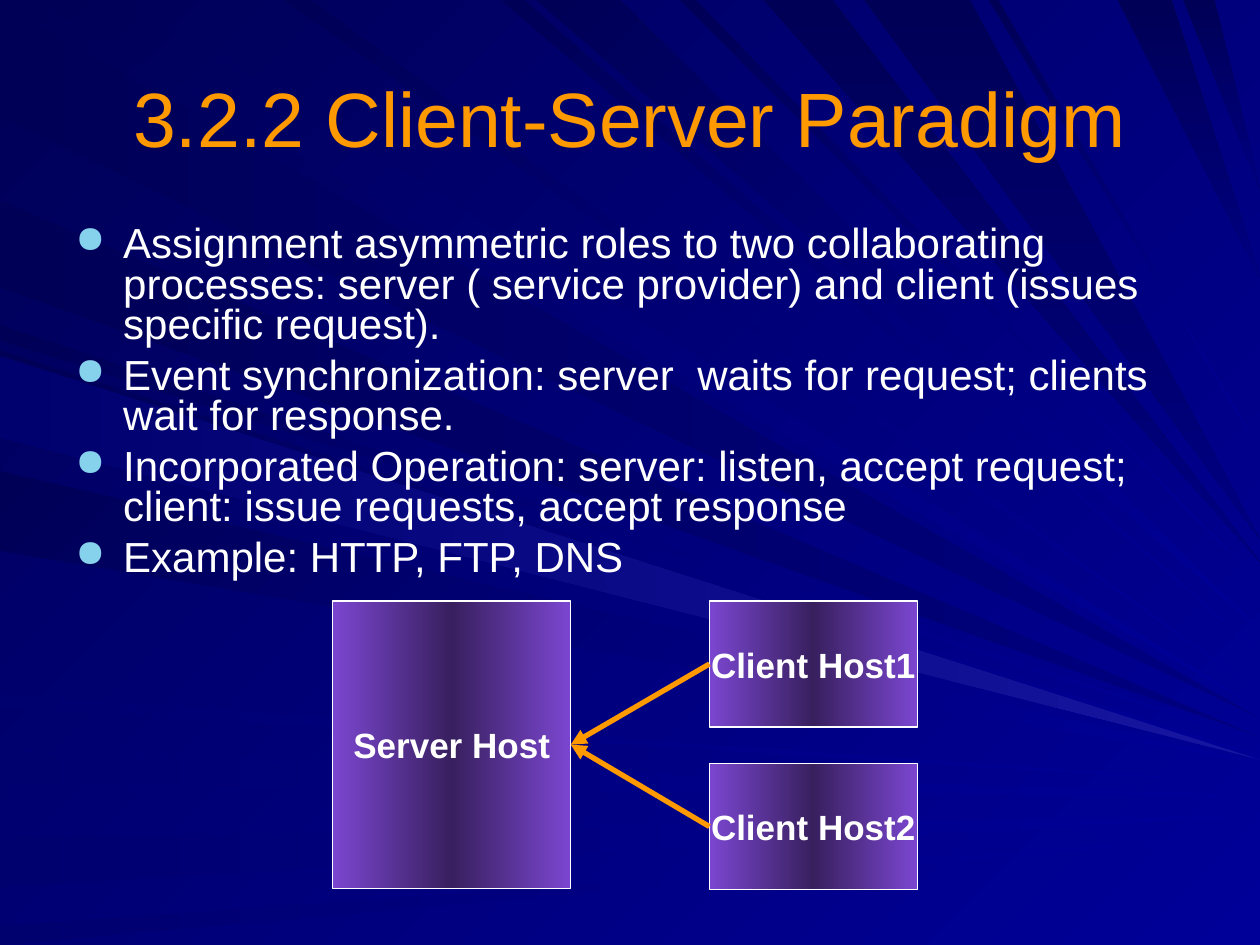
from copy import deepcopy

from lxml import etree
from pptx import Presentation
from pptx.dml.color import RGBColor
from pptx.enum import shapes as kinds, text as modes
from pptx.oxml.ns import qn
from pptx.util import Inches, Pt

ORANGE = RGBColor.from_string("FF9900")
WHITE = RGBColor.from_string("FFFFFF")
SKY = RGBColor.from_string("86D1EC")
VIOLET = RGBColor.from_string("7B46D0")
PLUM = RGBColor.from_string("38205F")
BLUE = RGBColor.from_string("000099")
NAVY = RGBColor.from_string("000080")
DARK = RGBColor.from_string("000057")
DUSK = RGBColor.from_string("00006E")
GLOW = RGBColor.from_string("1616A1")


def shade(fill, angle, colors):
    """Lay colors evenly along a clockwise angle."""
    fill.gradient()
    fill.gradient_angle = -angle % 360
    stops = fill.gradient_stops
    for i, color in enumerate(colors):
        stops[i].position = i / (len(colors) - 1)
        stops[i].color.rgb = color


def write(para, words, size, color):
    para.text = words
    para.font.name, para.font.size = "Arial", Pt(size)
    para.font.color.rgb = color


# Rays run from a span on the top or left edge to a height on the right edge,
# all in hundredths of an inch.
RAYS = [
    ("left", 180, [NAVY, DARK], [(2, 93, 570), (159, 228, 585)]),
    ("top", 225, [BLUE, DARK], [
        (26, 101, 563), (225, 247, 550), (398, 416, 518),
        (426, 492, 500), (540, 552, 463), (785, 792, 358)]),
    ("top", 90, [DARK, NAVY], [
        (606, 661, 446), (686, 770, 428), (887, 930, 220), (939, 964, 150)]),
    ("left", 225, [BLUE, DARK], [
        (258, 270, 589), (278, 342, 600), (374, 437, 606)]),
    ("left", 180, [BLUE, DUSK], [
        (552, 560, 622), (596, 623, 632), (665, 704, 647), (735, 750, 662)]),
    ("left", 180, [GLOW, DUSK], [(283, 347, 603)]),
]

POINTS = [
    "Assignment asymmetric roles to two collaborating processes: "
    "server ( service provider) and client (issues specific request).",
    "Event synchronization: server  waits for request; clients wait for response.",
    "Incorporated Operation: server: listen, accept request; "
    "client: issue requests, accept response",
    "Example: HTTP, FTP, DNS",
]

HOSTS = [
    ("Server Host", 2.64, 4.77, 1.89, 2.28),
    ("Client Host1", 5.63, 4.77, 1.65, 1),
    ("Client Host2", 5.63, 6.06, 1.65, 1),
]

deck = Presentation()
deck.slide_width, deck.slide_height = Inches(10), Inches(7.5)
slide = deck.slides.add_slide(deck.slide_layouts[6])
shade(slide.background.fill, 225, [BLUE, DARK])

for edge, angle, colors, spans in RAYS:
    for near, far, tip in spans:
        ends = [(near, 0), (far, 0)] if edge == "top" else [(0, near), (0, far)]
        pen = slide.shapes.build_freeform(1000, tip, scale=Inches(0.01))
        pen.add_line_segments(ends, close=True)
        ray = pen.convert_to_shape()
        ray.shadow.inherit = False
        ray.line.fill.background()
        shade(ray.fill, angle, colors)

# Title
title = slide.shapes.add_textbox(Inches(0.5), Inches(0.3), Inches(9), Inches(1.25))
frame = title.text_frame
frame.word_wrap = True
frame.vertical_anchor = modes.MSO_ANCHOR.MIDDLE
para = frame.paragraphs[0]
write(para, "3.2.2 Client-Server Paradigm", 44, ORANGE)
para.alignment = modes.PP_ALIGN.CENTER

# Bullet list
body = slide.shapes.add_textbox(Inches(0.5), Inches(1.75), Inches(9), Inches(3.1))
frame = body.text_frame
frame.word_wrap = True
for i, point in enumerate(POINTS):
    para = frame.add_paragraph() if i else frame.paragraphs[0]
    write(para, point, 24, WHITE)
    para.line_spacing = 0.8
    para.space_before = Pt(6)
    props = para._p.get_or_add_pPr()
    props.set("marL", str(Inches(0.38)))
    props.set("indent", str(-Inches(0.38)))
    tint = etree.Element(qn("a:buClr"))
    etree.SubElement(tint, qn("a:srgbClr"), val=str(SKY))
    size = etree.Element(qn("a:buSzPct"), val="90000")
    mark = etree.Element(qn("a:buChar"), char="●")
    spot = props.index(props.find(qn("a:spcBef"))) + 1
    props[spot:spot] = [tint, size, mark]

# Hosts
boxes = []
for name, *place in HOSTS:
    box = slide.shapes.add_shape(kinds.MSO_SHAPE.RECTANGLE, *map(Inches, place))
    box.shadow.inherit = False
    shade(box.fill, 180, [VIOLET, PLUM])
    stops = box._element.spPr.find(".//" + qn("a:gsLst"))
    stops.append(deepcopy(stops[0]))
    stops[1].set("pos", "50000")
    stops[2].set("pos", "100000")
    box.line.color.rgb = WHITE
    box.line.width = Pt(0.75)
    frame = box.text_frame
    frame.word_wrap = False
    frame.vertical_anchor = modes.MSO_ANCHOR.MIDDLE
    para = frame.paragraphs[0]
    write(para, name, 20, WHITE)
    para.font.bold = True
    para.alignment = modes.PP_ALIGN.CENTER
    boxes.append(box)

# Requests from each client to the server
server, *clients = boxes
for client in clients:
    arrow = slide.shapes.add_connector(kinds.MSO_CONNECTOR.STRAIGHT, 0, 0, 0, 0)
    arrow.begin_connect(client, 1)
    arrow.end_connect(server, 3)
    arrow.line.color.rgb = ORANGE
    arrow.line.width = Pt(3)
    props = arrow._element.spPr
    etree.SubElement(props.find(qn("a:ln")), qn("a:tailEnd"), type="triangle")
    etree.SubElement(props, qn("a:effectLst"))

deck.save("out.pptx")
